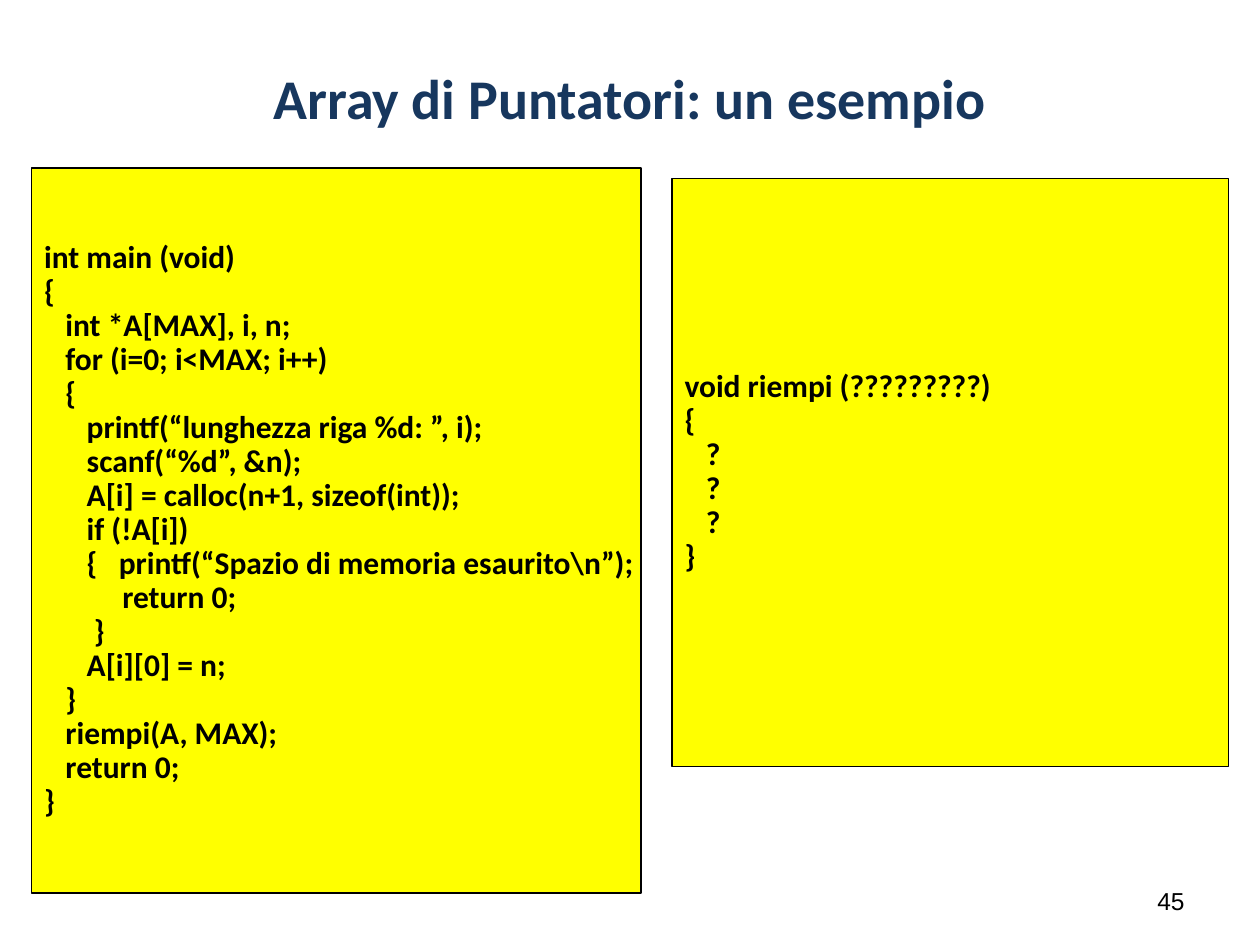
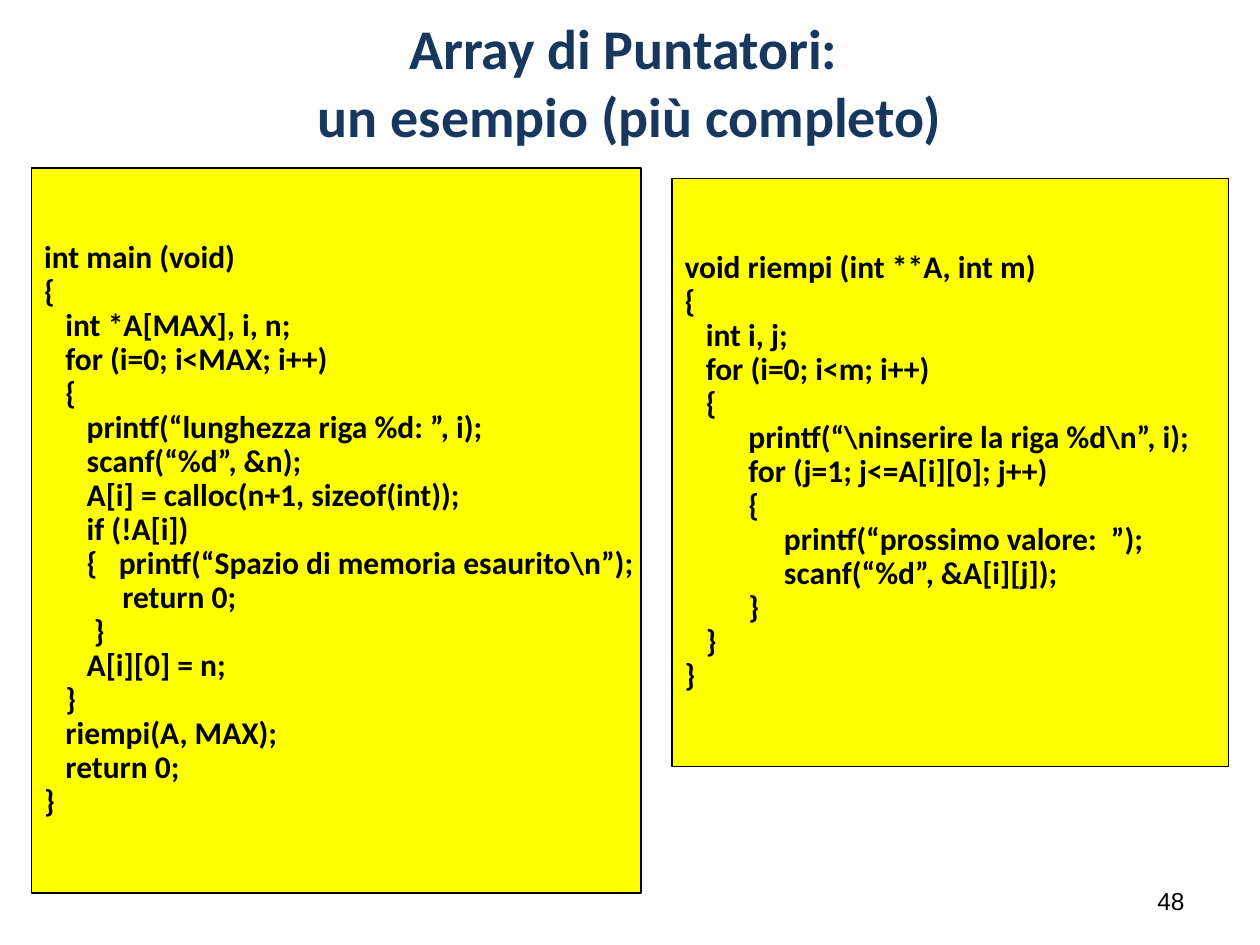
from dataclasses import dataclass

from pptx import Presentation
from pptx import util as u
from pptx.dml.color import RGBColor
from pptx.enum import shapes, text

MAIN = r"""int main (void)
{
   int *A[MAX], i, n;
   for (i=0; i<MAX; i++)
   {
      printf(“lunghezza riga %d: ”, i);
      scanf(“%d”, &n);
      A[i] = calloc(n+1, sizeof(int));
      if (!A[i])
      {   printf(“Spazio di memoria esaurito\n”);
           return 0;
       }
      A[i][0] = n;
   }
   riempi(A, MAX);
   return 0;
}"""

STUB = """void riempi (?????????)
{
   ?
   ?
   ?
}"""

FILL = r"""void riempi (int **A, int m)
{
   int i, j;
   for (i=0; i<m; i++)
   {
         printf(“\ninserire la riga %d\n”, i);
         for (j=1; j<=A[i][0]; j++)
         {
              printf(“prossimo valore:  ”);
              scanf(“%d”, &A[i][j]);
         }
   }
}"""

# Title lines, title top in cm, right-hand code, page number
PAGES = [
    (["Array di Puntatori: un esempio"], 0.76, STUB, "45"),
    (["Array di Puntatori: ", "un esempio (più completo)"], 0.43, FILL, "48"),
]

# Left, top, width, height in cm
LEFT = (0.64, 3.39, 12.28, 14.61)
RIGHT = (13.55, 3.6, 11.22, 11.85)
FOOT = (18.21, 17.65, 5.92, 1.02)


@dataclass(frozen=True)
class Style:
    """Font face, size in points, colour and weight of a kind of text."""
    face: str
    size: int
    color: str
    bold: bool = False


@dataclass(frozen=True)
class Theme:
    title: Style = Style("Calibri", 32, "17375E", True)
    code: Style = Style("Calibri", 18, "000000", True)
    foot: Style = Style("Arial", 14, "000000")
    panel: str = "FFFF00"
    edge: str = "000000"


THEME = Theme()


def rgb(code):
    return RGBColor.from_string(code)


def place(box):
    return [u.Cm(n) for n in box]


def frame(shape, wrap):
    """Centre the text vertically and set its insets."""
    body = shape.text_frame
    body.word_wrap = wrap
    body.vertical_anchor = text.MSO_ANCHOR.MIDDLE
    body.margin_left = body.margin_right = u.Cm(0.25)
    body.margin_top = body.margin_bottom = u.Cm(0.13)
    return body


def put(para, words, style):
    run = para.add_run()
    run.text = words
    font = run.font
    font.name, font.size, font.bold = style.face, u.Pt(style.size), style.bold
    font.color.rgb = rgb(style.color)


def label(slide, box, lines, style, align):
    """Add a text box holding one paragraph with line breaks."""
    body = frame(slide.shapes.add_textbox(*place(box)), True)
    para = body.paragraphs[0]
    para.alignment = align
    for i, line in enumerate(lines):
        if i:
            para.add_line_break()
        put(para, line, style)


def panel(slide, box, code):
    """Add a filled frame with one paragraph for each line of code."""
    kind = shapes.MSO_SHAPE.FLOWCHART_PROCESS
    shape = slide.shapes.add_shape(kind, *place(box))
    shape.shadow.inherit = False
    shape.fill.solid()
    shape.fill.fore_color.rgb = rgb(THEME.panel)
    shape.line.color.rgb = rgb(THEME.edge)
    shape.line.width = u.Pt(0.75)
    body = frame(shape, False)
    for i, line in enumerate(code.splitlines()):
        para = body.add_paragraph() if i else body.paragraphs[0]
        para.alignment = text.PP_ALIGN.JUSTIFY
        para.line_spacing = 0.9
        put(para, line, THEME.code)


def main():
    deck = Presentation()
    deck.slide_width, deck.slide_height = u.Cm(25.4), u.Cm(19.05)
    blank = deck.slide_layouts[6]
    for title, top, code, page in PAGES:
        slide = deck.slides.add_slide(blank)
        label(slide, FOOT, [page], THEME.foot, text.PP_ALIGN.RIGHT)
        label(slide, (1.27, top, 22.86, 2.41), title, THEME.title,
              text.PP_ALIGN.CENTER)
        panel(slide, LEFT, MAIN)
        panel(slide, RIGHT, code)
    deck.save("out.pptx")


if __name__ == "__main__":
    main()
